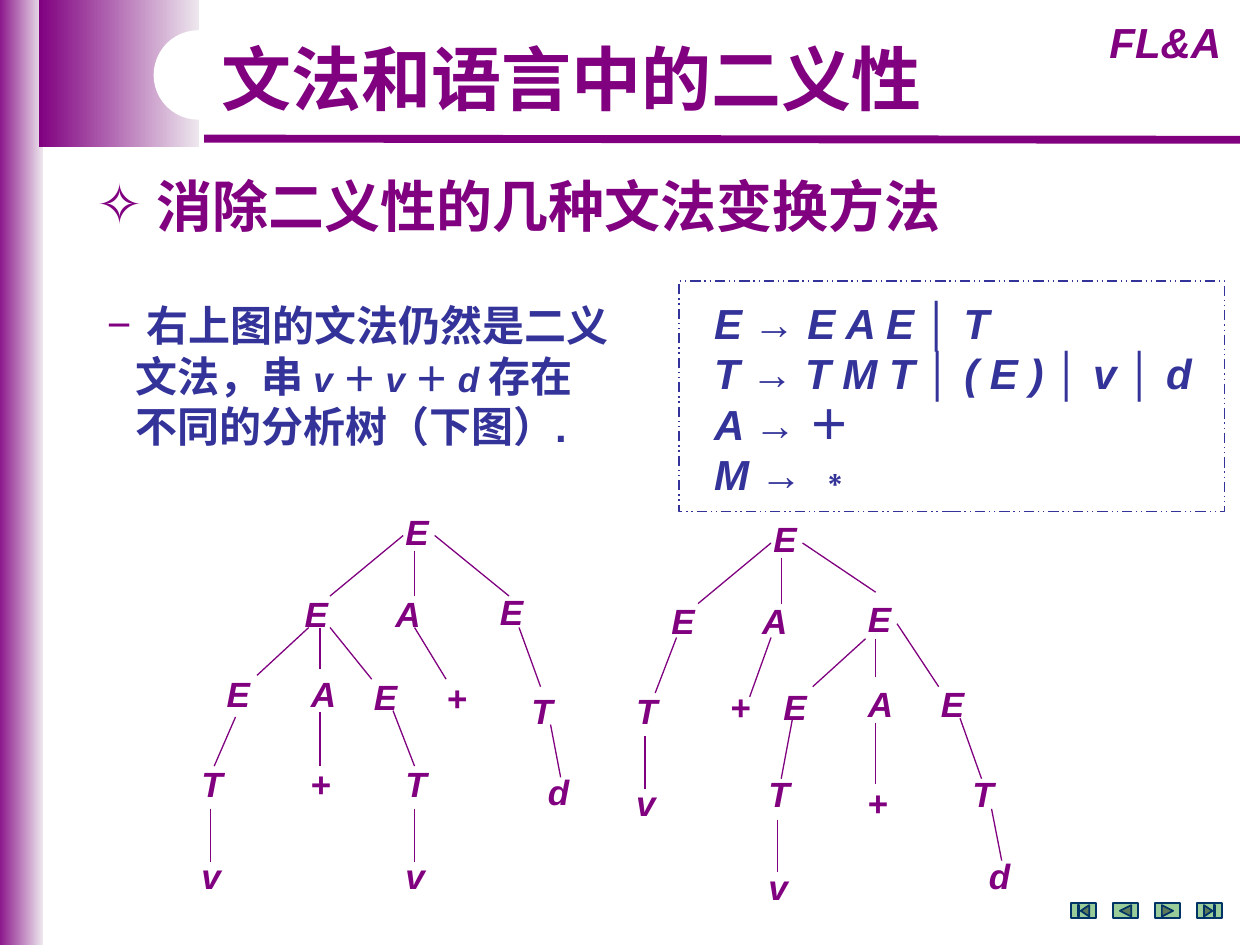
import dataclasses

import pptx
import pptx.dml.color
import pptx.enum.dml
import pptx.enum.shapes
import pptx.enum.text
import pptx.oxml.ns
import pptx.util
from lxml import etree

Pt = pptx.util.Pt
Shape = pptx.enum.shapes.MSO_SHAPE
Align = pptx.enum.text.PP_ALIGN


@dataclasses.dataclass(frozen=True)
class Theme:
    font: str = "Arial"
    purple: str = "800080"
    pale: str = "EDE7ED"
    navy: str = "333399"
    white: str = "FFFFFF"
    button: str = "99CC99"
    button_edge: str = "003366"
    title_size: float = 40
    heading_size: float = 32
    body_size: float = 24
    small_size: float = 20


def rgb(value):
    return pptx.dml.color.RGBColor.from_string(value)


def add_element(parent, tag, **attributes):
    return etree.SubElement(parent, pptx.oxml.ns.qn(tag), attributes)


class SlideBuilder:
    def __init__(self, slide, theme):
        self.slide = slide
        self.theme = theme

    def shape(self, kind, left, top, width, height, fill=None, line=None, line_width=1):
        shape = self.slide.shapes.add_shape(kind, Pt(left), Pt(top), Pt(width), Pt(height))
        shape.shadow.inherit = False
        if fill:
            shape.fill.solid()
            shape.fill.fore_color.rgb = rgb(fill)
        else:
            shape.fill.background()
        if line:
            shape.line.color.rgb = rgb(line)
            shape.line.width = Pt(line_width)
        else:
            shape.line.fill.background()
        return shape

    def gradient_band(self, left, top, width, height):
        band = self.shape(Shape.RECTANGLE, left, top, width, height)
        band.fill.gradient()
        band.fill.gradient_angle = 0
        stops = band.fill.gradient_stops
        for stop, color in zip(stops, (self.theme.purple, self.theme.pale)):
            stop.color.rgb = rgb(color)

    def line(self, start, end, width=0.75):
        connector = self.slide.shapes.add_connector(
            pptx.enum.shapes.MSO_CONNECTOR.STRAIGHT, *map(Pt, start + end))
        connector.line.color.rgb = rgb(self.theme.purple)
        connector.line.width = Pt(width)
        add_element(connector._element.spPr, "a:effectLst")

    def style(self, para, size, color, italic=None):
        font = para.font
        font.name = self.theme.font
        font.size = Pt(size)
        font.bold = True
        font.italic = italic
        font.color.rgb = rgb(color)

    def title(self, text, left, top, width, height):
        """Fill the title placeholder and bring it in front of what is drawn so far."""
        title = self.slide.shapes.title
        self.slide.shapes._spTree.append(title._element)
        title.left, title.top, title.width, title.height = map(Pt, (left, top, width, height))
        frame = title.text_frame
        frame.auto_size = pptx.enum.text.MSO_AUTO_SIZE.NONE
        frame.vertical_anchor = pptx.enum.text.MSO_ANCHOR.TOP
        frame.word_wrap = False
        para = frame.paragraphs[0]
        para.text = text
        para.alignment = Align.LEFT
        self.style(para, self.theme.title_size, self.theme.purple)

    def text(self, paras, left, top, width, height, size, color,
             italic=None, wrap=True, align=Align.LEFT, bullet=None, indents=()):
        """Each item of paras is a string or a list of (text, italic, size) runs."""
        box = self.slide.shapes.add_textbox(Pt(left), Pt(top), Pt(width), Pt(height))
        frame = box.text_frame
        frame.word_wrap = wrap
        for index, content in enumerate(paras):
            para = frame.add_paragraph() if index else frame.paragraphs[0]
            para.alignment = align
            if indents:
                self.indent(para, indents[index], bullet if index == 0 else None)
            self.style(para, size, color, italic)
            if isinstance(content, str):
                content = [(content, None, None)]
            for words, run_italic, run_size in content:
                span = para.add_run()
                span.text = words
                if run_italic is not None:
                    span.font.italic = run_italic
                if run_size:
                    span.font.size = Pt(run_size)

    def indent(self, para, margin, bullet):
        properties = para._p.get_or_add_pPr()
        properties.set("marL", str(Pt(margin)))
        properties.set("indent", str(-Pt(margin) if bullet else 0))
        if bullet:
            color = add_element(properties, "a:buClr")
            add_element(color, "a:srgbClr", val=self.theme.purple)
            add_element(properties, "a:buFont", typeface=self.theme.font)
            add_element(properties, "a:buChar", char=bullet)

    def tree(self, nodes):
        """Each node is its symbol, its corner and the ends of the branch above it."""
        for symbol, corner, *branch in nodes:
            if branch:
                self.line(*branch)
            self.text([symbol], *corner, 28, 31, self.theme.small_size, self.theme.purple,
                      italic=symbol != "+", wrap=False)


LEFT_TREE = [
    ("E", (224.6, 288)),
    ("E", (167, 334.8), (230.4, 306), (188.6, 340.6)),
    ("A", (218.9, 334.8), (236.9, 314.6), (236.9, 340.6)),
    ("E", (278.6, 334.1), (248.4, 306), (290.9, 340.6)),
    ("E", (122.4, 380.9), (176.4, 358.6), (146.9, 385.9)),
    ("A", (170.6, 380.9), (182.9, 358.6), (182.9, 382.3)),
    ("E", (206.6, 382.3), (188.6, 358.6), (212.4, 388.1)),
    ("+", (248.4, 383), (236.9, 358.6), (254.9, 388.1)),
    ("T", (296.6, 390.2), (296.6, 358.6), (308.9, 392.4)),
    ("d", (306, 437), (314.6, 414), (320.4, 444.2)),
    ("T", (108, 432), (134.6, 409.7), (122.4, 437.8)),
    ("+", (170.6, 432), (182.9, 406.8), (182.9, 437.8)),
    ("T", (224.6, 432), (224.6, 406.1), (236.9, 437.8)),
    ("v", (108, 484.6), (120.2, 462.2), (120.2, 492.5)),
    ("v", (224.6, 484.6), (236.9, 462.2), (236.9, 492.5)),
]
RIGHT_TREE = [
    ("E", (434.9, 292.3)),
    ("E", (376.6, 339.1), (440.6, 310.3), (398.9, 344.9)),
    ("A", (428.4, 339.1), (446.4, 319), (446.4, 344.9)),
    ("E", (488.9, 337.7), (458.6, 310.3), (500.4, 338.4)),
    ("T", (356.4, 390.2), (386.6, 364.3), (374.4, 396)),
    ("+", (410.4, 388.1), (440.6, 364.3), (428.4, 398.2)),
    ("E", (440.6, 388.1), (494.6, 365), (464.4, 392.4)),
    ("A", (488.9, 386.6), (500.4, 365), (500.4, 386.6)),
    ("E", (530.6, 386.6), (512.6, 356.4), (536.4, 392.4)),
    ("v", (356.4, 442.8), (368.6, 420.5), (368.6, 450.7)),
    ("T", (432, 437.8), (452.9, 410.4), (446.4, 445)),
    ("+", (488.9, 442.8), (500.4, 413.3), (500.4, 447.8)),
    ("T", (548.6, 437.8), (548.6, 410.4), (560.9, 445)),
    ("v", (432, 491), (444.2, 468.7), (444.2, 498.2)),
    ("d", (558, 484.6), (566.6, 462.2), (572.4, 491.8)),
]
GRAMMAR = ["E → E A E │ T", "T → T M T │ ( E ) │ v │ d", "A → ＋", "M → ∗"]
UPRIGHT = "→│＋∗"


def grammar_runs(rule):
    """Italic letters, upright signs."""
    return [(part + " ", part not in UPRIGHT, None) for part in rule.split(" ")[:-1]] + [
        (rule[-1], rule[-1] not in UPRIGHT, None)]


def main():
    deck = pptx.Presentation()
    deck.slide_width, deck.slide_height = Pt(720), Pt(540)
    theme = Theme()
    page = SlideBuilder(deck.slides.add_slide(deck.slide_layouts[5]), theme)

    page.gradient_band(-2.9, 0, 27.4, 542)
    page.gradient_band(22.3, 0, 91.4, 84.2)
    page.line((116.6, 79.2), (708.5, 79.9), width=4.5)
    page.text(["FL&A"], 620.6, 5.8, 90.7, 36, theme.body_size, theme.purple,
              italic=True, align=Align.CENTER)
    notch = page.shape(Shape.ROUNDED_RECTANGLE, 87.8, 17.3, 260.6, 51.1, theme.white)
    notch.adjustments[0] = 0.5
    buttons = (Shape.ACTION_BUTTON_BEGINNING, Shape.ACTION_BUTTON_BACK_OR_PREVIOUS,
               Shape.ACTION_BUTTON_FORWARD_OR_NEXT, Shape.ACTION_BUTTON_END)
    for index, kind in enumerate(buttons):
        page.shape(kind, 612 + 24 * index, 516.2, 14.4, 8.6, theme.button, theme.button_edge)

    page.title("文法和语言中的二义性", 119.5, 16.6, 414.7, 55.4)
    page.text(["消除二义性的几种文法变换方法"], 48.2, 94.3, 544.3, 45.4,
              theme.heading_size, theme.purple, bullet="✧", indents=(34,))
    small = theme.small_size
    sample = [("文法，串 ", None, None)]
    for symbol in ("v ", "＋ ", "v ", "＋ ", "d "):
        sample.append((symbol, symbol != "＋ ", small))
    sample.append(("存在", None, None))
    page.text(["右上图的文法仍然是二义", sample, "不同的分析树（下图）."],
              54, 167.8, 311.8, 94.3, theme.body_size, theme.navy,
              bullet="−", indents=(22.7, 16.5, 16.5))

    page.text([grammar_runs(rule) for rule in GRAMMAR], 401, 166.3, 298.8, 122.4,
              theme.body_size, theme.navy)
    frame = page.shape(Shape.RECTANGLE, 388.1, 160.6, 311.8, 131.8,
                       line=theme.navy, line_width=0.75)
    frame.line.dash_style = pptx.enum.dml.MSO_LINE.DASH_DOT_DOT
    page.tree(LEFT_TREE)
    page.tree(RIGHT_TREE)
    deck.save("out.pptx")


if __name__ == "__main__":
    main()
